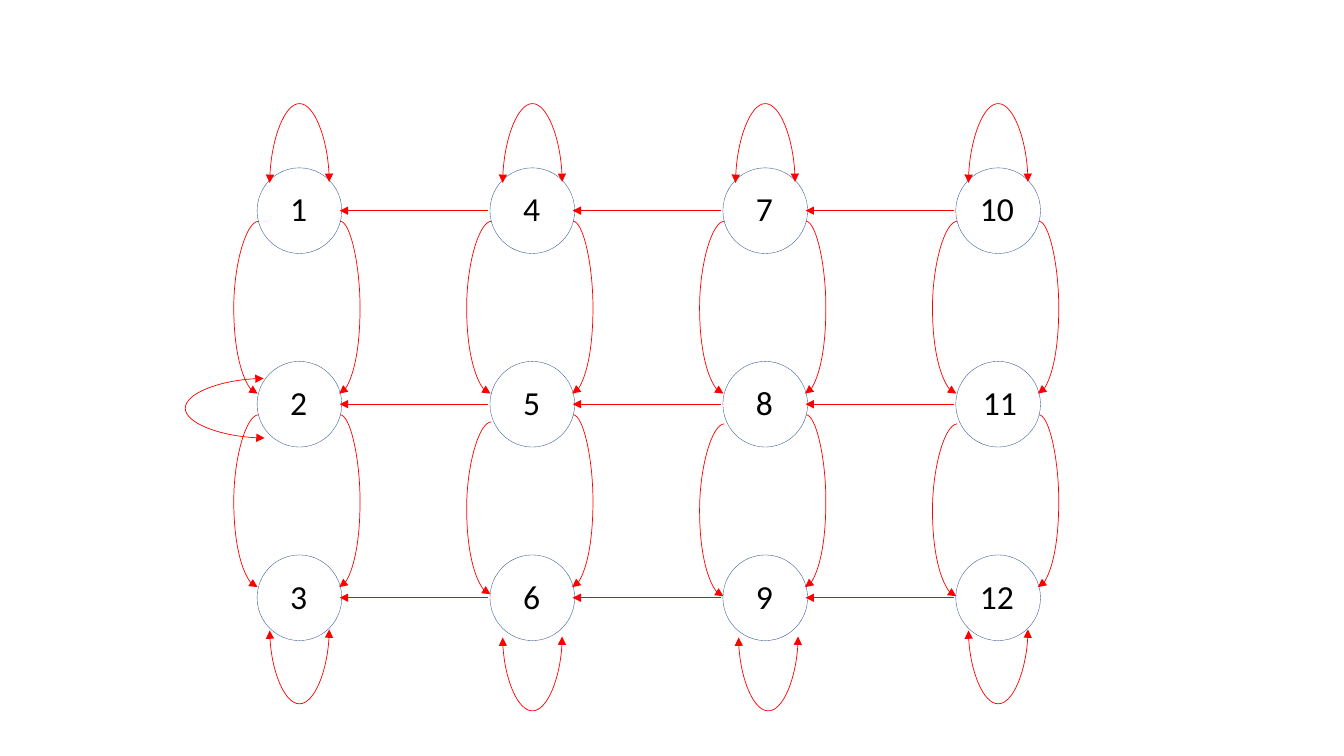
from dataclasses import dataclass
from itertools import product

from lxml.etree import SubElement
from pptx import Presentation
from pptx.dml.color import RGBColor
from pptx.enum.shapes import MSO_CONNECTOR, MSO_SHAPE
from pptx.enum.text import MSO_AUTO_SIZE
from pptx.oxml.ns import qn
from pptx.util import Inches, Pt


@dataclass(frozen=True)
class Theme:
    ink: RGBColor = RGBColor(0x00, 0x00, 0x00)
    ring: RGBColor = RGBColor(0x32, 0x54, 0x91)
    arrow: RGBColor = RGBColor(0xFF, 0x00, 0x00)
    font: str = "Calibri"
    number_size: float = 24
    ring_width: float = 0.25
    arrow_width: float = 0.5


THEME = Theme()
COLUMNS, ROWS = 4, 3
FIRST_X, FIRST_Y = 2.97, 2.09
COLUMN_STEP, ROW_STEP = 2.31, 1.92
NODE_WIDTH, NODE_HEIGHT = 0.84, 0.85
LIP = 0.01  # sideways offset between the two ends of a curve
ARC_RISE, LOOP_RISE = 1.71, -0.59
QUARTER_TURN = 90

# How far the lower curves hang below their usual place, by column
LEFT_ARC_SAG = (0, 0.07, 0.09, 0.09)
BOTTOM_LOOP_SAG = (0, 0.07, 0.07, 0)
BOTTOM_LOOP_SHIFT = (0, 0, 0.03, 0)


def grid_point(column, row, dx=0.0, dy=0.0):
    """Centre of a node in inches, moved by dx and dy."""
    return FIRST_X + column * COLUMN_STEP + dx, FIRST_Y + row * ROW_STEP + dy


def add_text(slide, text, left, top, width, height, *,
             size=THEME.number_size, color=THEME.ink, font=THEME.font):
    box = slide.shapes.add_textbox(*map(Inches, (left, top, width, height)))
    box.text_frame.word_wrap = True
    box.text_frame.auto_size = MSO_AUTO_SIZE.SHAPE_TO_FIT_TEXT
    run = box.text_frame.paragraphs[0].add_run()
    run.text = text
    run.font.name, run.font.size = font, Pt(size)
    run.font.color.rgb = color


def add_node(slide, column, row):
    left, top = grid_point(column, row, -NODE_WIDTH / 2, -NODE_HEIGHT / 2)
    circle = slide.shapes.add_shape(
        MSO_SHAPE.OVAL, *map(Inches, (left, top, NODE_WIDTH, NODE_HEIGHT)))
    circle.shadow.inherit = False
    circle.fill.background()
    circle.line.color.rgb = THEME.ring
    circle.line.width = Pt(THEME.ring_width)

    number = str(column * ROWS + row + 1)
    indent, width = (-0.19, 0.44) if len(number) == 1 else (-0.28, 0.61)
    if number == "11":
        indent, width = -0.25, 0.67
    add_text(slide, number, *grid_point(column, row, indent, -0.27), width, 0.5)


def add_arrow(slide, kind, begin, end, both_ends=False):
    arrow = slide.shapes.add_connector(kind, *map(Inches, (*begin, *end)))
    arrow.line.color.rgb = THEME.arrow
    arrow.line.width = Pt(THEME.arrow_width)
    properties = arrow.line._get_or_add_ln()
    for tip in ("a:headEnd", "a:tailEnd") if both_ends else ("a:tailEnd",):
        SubElement(properties, qn(tip), type="triangle")
    SubElement(arrow._element.spPr, qn("a:effectLst"))
    return arrow


def add_curve(slide, middle, rise, reach, turn=0, both_ends=False):
    """Curve around middle, bulging left by reach, then turned clockwise."""
    x, y = middle
    curve = add_arrow(slide, MSO_CONNECTOR.CURVE,
                      (x + LIP / 2, y - rise / 2), (x - LIP / 2, y + rise / 2),
                      both_ends)
    properties = curve._element.spPr
    adjustments = properties.find(qn("a:prstGeom")).get_or_add_avLst()
    SubElement(adjustments, qn("a:gd"), name="adj1",
               fmla=f"val {round(reach / LIP * 100000)}")
    if turn:
        properties.find(qn("a:xfrm")).set("rot", str(turn * 60000))


def add_loop(slide, middle, reach, turn=QUARTER_TURN):
    add_curve(slide, middle, LOOP_RISE, reach, turn, both_ends=True)


def add_column_arcs(slide, column, row):
    """The left and right curves from a node to the one below it."""
    sag = LEFT_ARC_SAG[column] if row else 0
    add_curve(slide, grid_point(column, row, -0.41, 0.96 + sag), ARC_RISE, 0.25)
    add_curve(slide, grid_point(column, row, 0.4, 0.96), ARC_RISE, -0.2)


def add_row_arrow(slide, column, row):
    """The straight arrow from the next column's node to this one."""
    add_arrow(slide, MSO_CONNECTOR.STRAIGHT,
              grid_point(column + 1, row, -0.44), grid_point(column, row, 0.4))


def main():
    presentation = Presentation()
    presentation.slide_width = Inches(13.33)
    presentation.slide_height = Inches(7.5)
    slide = presentation.slides.add_slide(presentation.slide_layouts[6])

    for column, row in product(range(COLUMNS), range(ROWS)):
        add_node(slide, column, row)
    for row, column in product(range(ROWS - 1), range(COLUMNS)):
        add_column_arcs(slide, column, row)
    for column in range(COLUMNS):
        add_loop(slide, grid_point(column, 0, dy=-0.28), 0.8)
        add_loop(slide, grid_point(column, ROWS - 1, BOTTOM_LOOP_SHIFT[column],
                                   0.32 + BOTTOM_LOOP_SAG[column]), -0.74)
    add_loop(slide, grid_point(0, 1, -0.35, 0.04), 0.8, turn=0)
    for row, column in product(range(ROWS), range(COLUMNS - 1)):
        add_row_arrow(slide, column, row)

    presentation.save("out.pptx")


if __name__ == "__main__":
    main()
